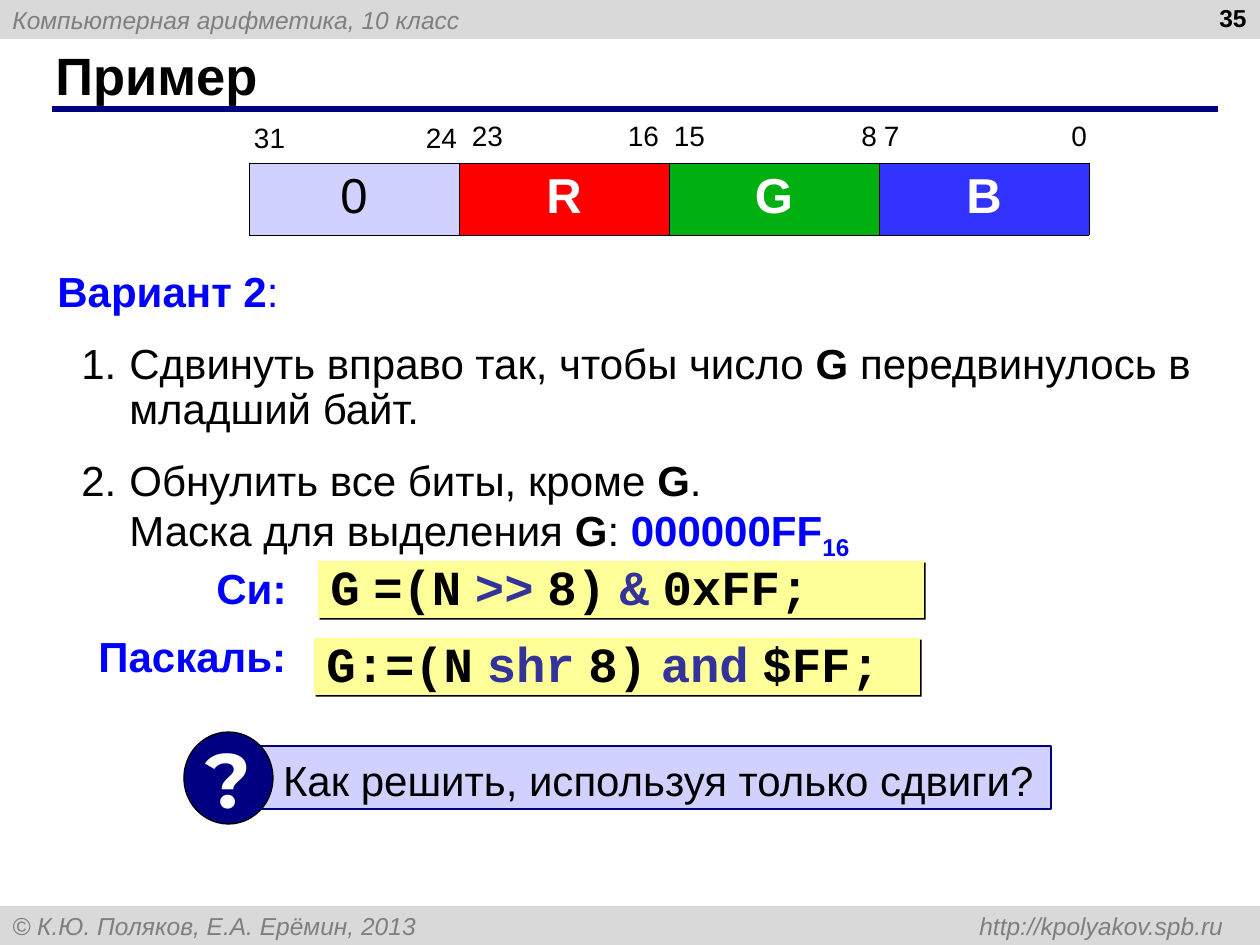
"""Build the slide on extracting the G byte with shifts and masks."""
from lxml.etree import SubElement
from pptx import Presentation
from pptx.dml.color import RGBColor
from pptx.enum.shapes import MSO_CONNECTOR as CONN, MSO_SHAPE as SHAPE
from pptx.enum.text import MSO_ANCHOR as ANCHOR, PP_ALIGN as ALIGN
from pptx.oxml.ns import qn
from pptx.util import Pt

SCALE = 914400 / 126
W, H, BAR = 1260, 945, 39
C = {"bar": "D9D9D9", "grey": "7F7F7F", "navy": "000080", "black": "000000",
     "blue": "0000FF", "lilac": "D1D1FF", "red": "FF0000", "green": "00B011",
     "azure": "3333FF", "white": "FFFFFF", "yellow": "FFFF99", "word": "333399"}
NO_STYLE = "{2D5ABB26-0587-4C30-8999-92F81FD0307C}"

BYTES = [("0", "lilac", "black", False), ("R", "red", "white", True),
         ("G", "green", "white", True), ("B", "azure", "white", True)]
BITS = [("31", "24", 3, 206, ANCHOR.MIDDLE), ("23", "16", 11, 198, ANCHOR.TOP),
        ("15", "8", 3, 206, ANCHOR.TOP), ("7", "0", 3, 206, ANCHOR.TOP)]
HEADING = [("Вариант 2", {"b": True, "c": "blue"}), (":", {"c": "blue"})]
STEPS = [
    [("Сдвинуть вправо так, чтобы число ", {}), ("G ", {"b": True}),
     ("передвинулось в младший байт.", {})],
    [("Обнулить все биты, кроме ", {}), ("G", {"b": True}), (".", {}), ("\n", {}),
     ("Маска для выделения ", {}), ("G", {"b": True}), (": ", {}),
     ("000000FF", {"b": True, "c": "blue"}),
     ("16", {"b": True, "c": "blue", "base": -25000})],
]
CODE = [
    ("Си:", (204, 556, 95, 63), (318, 561, 606, 57), "G =(N >> 8) & 0xFF;"),
    ("Паскаль:", (86, 624, 213, 63), (314, 638, 606, 57), "G:=(N shr 8) and $FF;"),
]
OPERATORS = {">>", "&", "shr", "and"}


def px(n):
    return round(n * SCALE)


def rgb(name):
    return RGBColor.from_string(C[name])


def write(p, text, sz=24, c="black", b=False, i=False, font="Arial", base=None):
    if text == "\n":
        p.add_line_break()
        return
    r = p.add_run()
    r.text = text
    f = r.font
    f.size, f.name, f.bold, f.italic = Pt(sz), font, b, i
    f.color.rgb = rgb(c)
    if base:
        r._r.get_or_add_rPr().set("baseline", str(base))


def add_tab(p, pos):
    tabs = SubElement(p._p.get_or_add_pPr(), qn("a:tabLst"))
    SubElement(tabs, qn("a:tab"), pos=str(px(pos)), algn="r")


def text_box(s, at, text="", align=ALIGN.LEFT, anchor=ANCHOR.TOP, wrap=True, **style):
    tf = s.shapes.add_textbox(*map(px, at)).text_frame
    tf.word_wrap, tf.vertical_anchor = wrap, anchor
    p = tf.paragraphs[0]
    p.alignment = align
    if text:
        write(p, text, **style)
    return tf


def block(shapes, kind, at, fill, line=None, width=1, align=ALIGN.LEFT, wrap=True):
    sp = shapes.add_shape(kind, *map(px, at))
    sp.shadow.inherit = False
    sp.fill.solid()
    sp.fill.fore_color.rgb = rgb(fill)
    if line:
        sp.line.color.rgb = rgb(line)
        sp.line.width = Pt(width)
    else:
        sp.line.fill.background()
    tf = sp.text_frame
    tf.word_wrap, tf.vertical_anchor = wrap, ANCHOR.MIDDLE
    tf.paragraphs[0].alignment = align
    return sp


def add_row(s, at):
    tbl = s.shapes.add_table(1, 4, *map(px, at)).table
    tbl.first_row = tbl.horz_banding = False
    tbl._tbl.tblPr.find(qn("a:tableStyleId")).text = NO_STYLE
    return tbl.rows[0].cells


def outline(cell):
    tcPr = cell._tc.get_or_add_tcPr()
    for n, side in enumerate(("lnL", "lnR", "lnT", "lnB")):
        ln = tcPr.makeelement(qn("a:" + side), {"w": "5715"})
        SubElement(SubElement(ln, qn("a:solidFill")), qn("a:srgbClr"), val=C["black"])
        tcPr.insert(n, ln)


def drop_shadow(sp):
    effects = sp._element.spPr.find(qn("a:effectLst"))
    shadow = SubElement(effects, qn("a:outerShdw"), dist="17960", dir="2700000",
                        algn="ctr", rotWithShape="0")
    SubElement(shadow, qn("a:srgbClr"), val=C["black"])


def add_frame(s):
    grey = {"sz": 14, "c": "grey", "i": True}
    top = block(s.shapes, SHAPE.RECTANGLE, (0, 0, W, BAR), "bar")
    write(top.text_frame.paragraphs[0], "Компьютерная арифметика, 10 класс", **grey)
    rule = s.shapes.add_connector(CONN.STRAIGHT, px(52), px(109), px(1218), px(109))
    rule.line.color.rgb, rule.line.width = rgb("navy"), Pt(3)
    SubElement(rule._element.spPr, qn("a:effectLst"))
    bottom = block(s.shapes, SHAPE.RECTANGLE, (0, H - BAR, W, BAR), "bar")
    p = bottom.text_frame.paragraphs[0]
    add_tab(p, 1211)
    write(p, "© К.Ю. Поляков, Е.А. Ерёмин, 2013\thttp://kpolyakov.spb.ru", **grey)
    text_box(s, (43, 42, 1154, 66), "Пример", anchor=ANCHOR.MIDDLE, sz=30, b=True)
    text_box(s, (965, -3, 294, 66), "35", align=ALIGN.RIGHT, sz=14, b=True)


def add_steps(s):
    tf = text_box(s, (45, 265, 1164, 296))
    for n, runs in enumerate([HEADING] + STEPS):
        p = tf.add_paragraph() if n else tf.paragraphs[0]
        p.line_spacing = 0.9
        if n:
            p.space_before = Pt(15)
            pPr = p._p.get_or_add_pPr()
            pPr.set("marL", str(px(72)))
            pPr.set("indent", str(px(-48)))
            SubElement(pPr, qn("a:buFont"), typeface="+mj-lt")
            SubElement(pPr, qn("a:buAutoNum"), type="arabicPeriod")
        for text, style in runs:
            write(p, text, **style)


def add_tables(s):
    for cell, (text, fill, color, bold) in zip(add_row(s, (249, 163, 840, 72)), BYTES):
        cell.fill.solid()
        cell.fill.fore_color.rgb = rgb(fill)
        outline(cell)
        p = cell.text_frame.paragraphs[0]
        p.alignment, p.space_before = ALIGN.CENTER, Pt(7)
        write(p, text, sz=28, c=color, b=bold)
    for cell, (high, low, left, right, anchor) in zip(add_row(s, (251, 115, 840, 47)), BITS):
        cell.fill.background()
        cell.margin_left, cell.margin_right = px(left), px(2)
        cell.vertical_anchor = anchor
        p = cell.text_frame.paragraphs[0]
        p.space_before = Pt(4)
        add_tab(p, right - left)
        write(p, f"{high}\t{low}", sz=16)


def add_code(s):
    for label, label_at, at, code in CODE:
        text_box(s, label_at, label, wrap=False, c="blue", b=True)
        sp = block(s.shapes, SHAPE.RECTANGLE, at, "yellow", wrap=False)
        drop_shadow(sp)
        p = sp.text_frame.paragraphs[0]
        p.line_spacing = 0.9
        for n, word in enumerate(code.split()):
            if n:
                write(p, " ", sz=28, b=True)
            color = "word" if word in OPERATORS else "black"
            write(p, word, sz=28, c=color, b=True, font="Courier New")


def add_question(s):
    group = s.shapes.add_group_shape().shapes
    sp = block(group, SHAPE.RECTANGLE, (248, 746, 803, 63), "lilac", "navy")
    tf = sp.text_frame
    tf.margin_left, tf.margin_top, tf.vertical_anchor = px(35), px(9), ANCHOR.TOP
    write(tf.paragraphs[0], "Как решить, используя только сдвиги?")
    mark = block(group, SHAPE.OVAL, (184, 732, 89, 92), "navy", "black", 0.75,
                 ALIGN.CENTER, False)
    write(mark.text_frame.paragraphs[0], "?", sz=44, c="white", b=True, font="Montserrat")


def main():
    prs = Presentation()
    prs.slide_width, prs.slide_height = px(W), px(H)
    s = prs.slides.add_slide(prs.slide_layouts[6])
    for add in (add_frame, add_steps, add_tables, add_code, add_question):
        add(s)
    prs.save("out.pptx")


if __name__ == "__main__":
    main()
